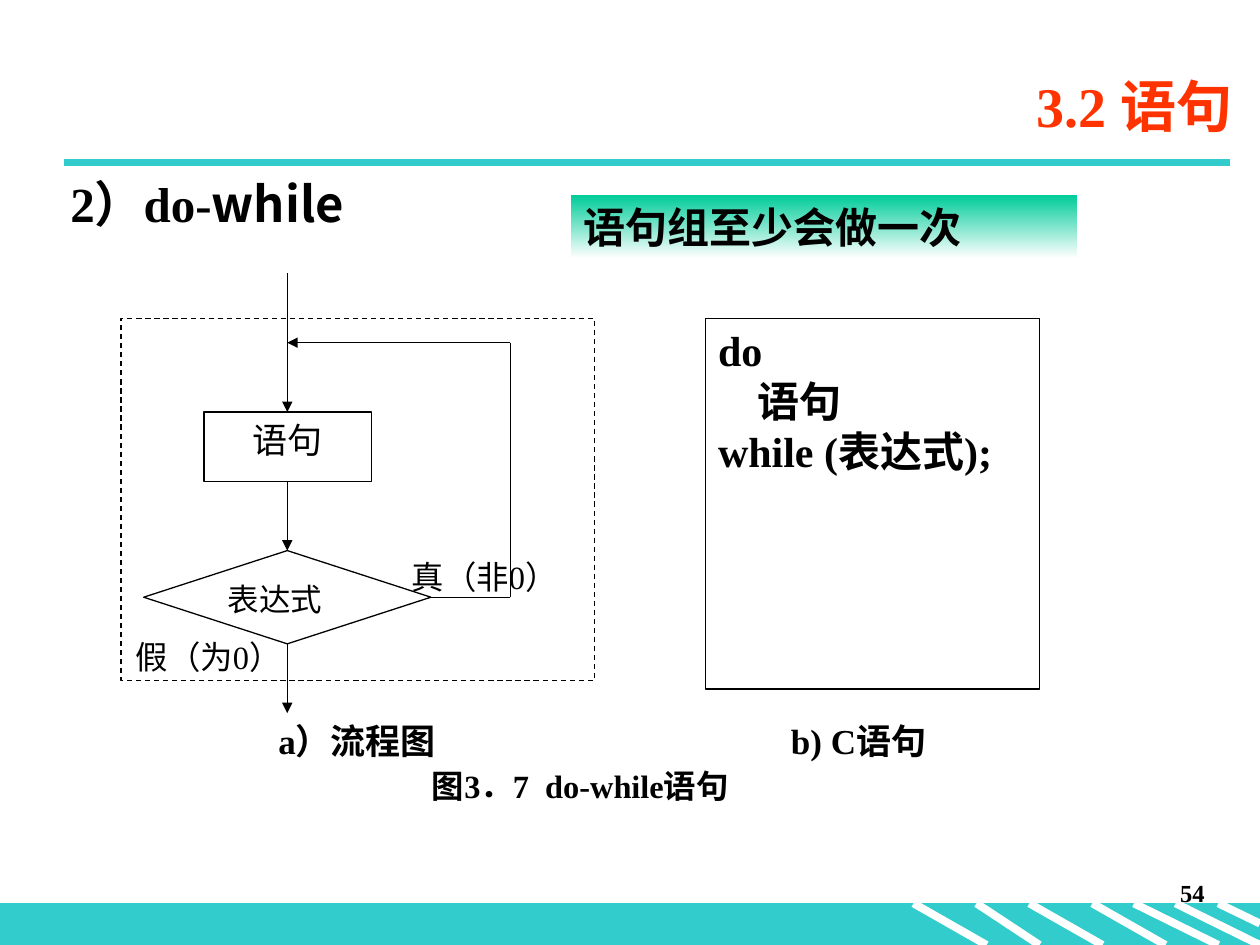
from lxml import etree
from pptx import Presentation
from pptx.dml.color import RGBColor
from pptx.enum.dml import MSO_LINE
from pptx.enum.shapes import MSO_CONNECTOR, MSO_SHAPE
from pptx.enum.text import MSO_ANCHOR, MSO_AUTO_SIZE, PP_ALIGN
from pptx.oxml.ns import qn
from pptx.util import Inches, Pt

WIDTH, HEIGHT = 10, 7.5
TITLE_ONLY = 5
RECT, DECISION = MSO_SHAPE.RECTANGLE, MSO_SHAPE.FLOWCHART_DECISION
STRAIGHT, DASH = MSO_CONNECTOR.STRAIGHT, MSO_LINE.DASH
LEFT, CENTER, RIGHT = PP_ALIGN.LEFT, PP_ALIGN.CENTER, PP_ALIGN.RIGHT
TOP, MIDDLE = MSO_ANCHOR.TOP, MSO_ANCHOR.MIDDLE
SERIF, SANS = "Times New Roman", "Noto Sans CJK SC"
COLORS = {"teal": "33CCCC", "title": "FF3300", "ink": "000000",
          "paper": "FFFFFF", "green": "00CC99"}

# Flowchart axes and rows
MAIN_X, LOOP_X = 2.28, 4.05
PANEL_TOP, LOOP_Y, CAPTION_Y = 2.53, 2.72, 5.66
STATEMENT_TOP, STATEMENT_BOTTOM = 3.27, 3.82
DECISION_TOP, DECISION_BOTTOM = 4.37, 5.11
DECISION_Y = (DECISION_TOP + DECISION_BOTTOM) / 2
LABEL_HEIGHT, CAPTION_WIDTH = 0.55, 2.87


def color(name):
    return RGBColor.from_string(COLORS[name])


def inches(*lengths):
    return [Inches(length) for length in lengths]


def write(holder, *lines, size, bold=False, ink="ink", align=LEFT,
          anchor=TOP, latin=SERIF, indents=()):
    """Fill a shape with lines; a line is a text or a list of (text, font)."""
    frame = holder.text_frame
    frame.word_wrap = True
    frame.auto_size = MSO_AUTO_SIZE.NONE
    frame.vertical_anchor = anchor
    for number, line in enumerate(lines):
        paragraph = frame.add_paragraph() if number else frame.paragraphs[0]
        paragraph.alignment = align
        if number < len(indents):
            paragraph_format = paragraph._p.get_or_add_pPr()
            paragraph_format.set("marL", str(Inches(indents[number])))
        for text, font_name in [(line, latin)] if isinstance(line, str) else line:
            run = paragraph.add_run()
            run.text = text
            font = run.font
            font.name, font.size, font.bold = font_name, Pt(size), bold
            font.color.rgb = color(ink)
            east_asian = etree.SubElement(font._element, qn("a:ea"))
            east_asian.set("typeface", SANS)


def add_label(slide, area, *lines, **text_format):
    label = slide.shapes.add_textbox(*inches(*area))
    write(label, *lines, **text_format)


def add_box(slide, area, kind=RECT, fill="paper", outline="ink", dash=None):
    box = slide.shapes.add_shape(kind, *inches(*area))
    box.shadow.inherit = False
    box.fill.solid()
    box.fill.fore_color.rgb = color(fill)
    box.line.color.rgb = color(outline)
    box.line.width = Pt(0.75)
    if dash:
        box.line.dash_style = dash
    return box


def add_line(slide, start, end, ink="ink", width=0.75, arrow=False):
    line = slide.shapes.add_connector(STRAIGHT, *inches(*start, *end))
    line.line.color.rgb = color(ink)
    line.line.width = Pt(width)
    if arrow:
        tip = etree.SubElement(line.line._get_or_add_ln(), qn("a:tailEnd"))
        tip.set("type", "triangle")
    etree.SubElement(line._element.spPr, qn("a:effectLst"))


def add_frame(slide):
    # Footer band with slanted stripes
    band_top = 7.17
    add_box(slide, (0, band_top, WIDTH, HEIGHT - band_top),
            fill="teal", outline="teal")
    stripes = [(7.25, 7.83), (7.75, 8.25), (8.17, 8.75), (8.67, 9.25),
               (9, 9.67), (9.33, 10)]
    for top_x, bottom_x in stripes:
        add_line(slide, (top_x, band_top), (bottom_x, HEIGHT), "paper", 4.5)
    add_line(slide, (9.67, band_top), (WIDTH, 7.33), "paper", 4.5)

    # Rule below the title, and page number
    add_line(slide, (0.51, 1.29), (9.76, 1.29), "teal", 4.5)
    add_label(slide, (7.58, 6.92, 2.08, 0.5), "54",
              size=14, bold=True, align=RIGHT)


def add_headings(slide):
    title = slide.shapes.title
    title.left, title.top, title.width, title.height = inches(1.38, 0.44, 8.5, 0.79)
    write(title, "3.2 语句", size=32, bold=True, ink="title",
          align=RIGHT, anchor=MIDDLE)
    add_label(slide, (0.46, 1.33, 9.08, 0.67),
              [("2）do-", SERIF), ("while", SANS)], size=28, bold=True)

    # Green note fading downwards
    note = add_box(slide, (4.53, 1.55, 4.02, 0.5))
    note.line.fill.background()
    note.fill.gradient()
    note.fill.gradient_angle = 270
    for stop, name, position in zip(note.fill.gradient_stops,
                                    ("green", "paper"), (0, 1)):
        stop.color.rgb = color(name)
        stop.position = position
    write(note, "语句组至少会做一次", size=24, bold=True)


def add_flowchart(slide):
    add_box(slide, (0.96, PANEL_TOP, 3.76, 2.87), dash=DASH)

    # Steps
    statement = add_box(slide, (1.62, STATEMENT_TOP, 1.33,
                                STATEMENT_BOTTOM - STATEMENT_TOP))
    write(statement, "语句", size=20, align=CENTER)
    condition = add_box(slide, (1.14, DECISION_TOP, 2.28,
                                DECISION_BOTTOM - DECISION_TOP), DECISION)
    write(condition, "表达式", size=18)

    # Downward flow
    for start_y, end_y in [(2.17, STATEMENT_TOP),
                           (STATEMENT_BOTTOM, DECISION_TOP),
                           (DECISION_BOTTOM, CAPTION_Y)]:
        add_line(slide, (MAIN_X, start_y), (MAIN_X, end_y), arrow=True)

    # Loop back to the statement
    loop = [(3.42, DECISION_Y), (LOOP_X, DECISION_Y),
            (LOOP_X, LOOP_Y), (MAIN_X, LOOP_Y)]
    for start, end in zip(loop, loop[1:]):
        add_line(slide, start, end, arrow=end == loop[-1])

    # Branch labels
    for x, y, branch in [(0.98, 5.01, "假（为0）"),
                         (3.17, DECISION_TOP, "真（非0）")]:
        add_label(slide, (x, y, 1.55, LABEL_HEIGHT), branch, size=18.5)


def add_code(slide):
    code = add_box(slide, (5.6, PANEL_TOP, 2.65, 2.94))
    write(code, "do", "语句", "while (表达式);", size=24, bold=True,
          indents=(0, 0.31, 0))


def add_captions(slide):
    for x, y, caption, size in [(1.4, CAPTION_Y, "a）流程图", 20),
                                (5.38, CAPTION_Y, "b) C语句", 20),
                                (3.17, 6.03, "图3．7  do-while语句", 18.5)]:
        add_label(slide, (x, y, CAPTION_WIDTH, LABEL_HEIGHT), caption,
                  size=size, bold=True, align=CENTER)


def main():
    deck = Presentation()
    deck.slide_width, deck.slide_height = inches(WIDTH, HEIGHT)
    slide = deck.slides.add_slide(deck.slide_layouts[TITLE_ONLY])
    add_frame(slide)
    add_headings(slide)
    add_flowchart(slide)
    add_code(slide)
    add_captions(slide)
    deck.save("out.pptx")


if __name__ == "__main__":
    main()
